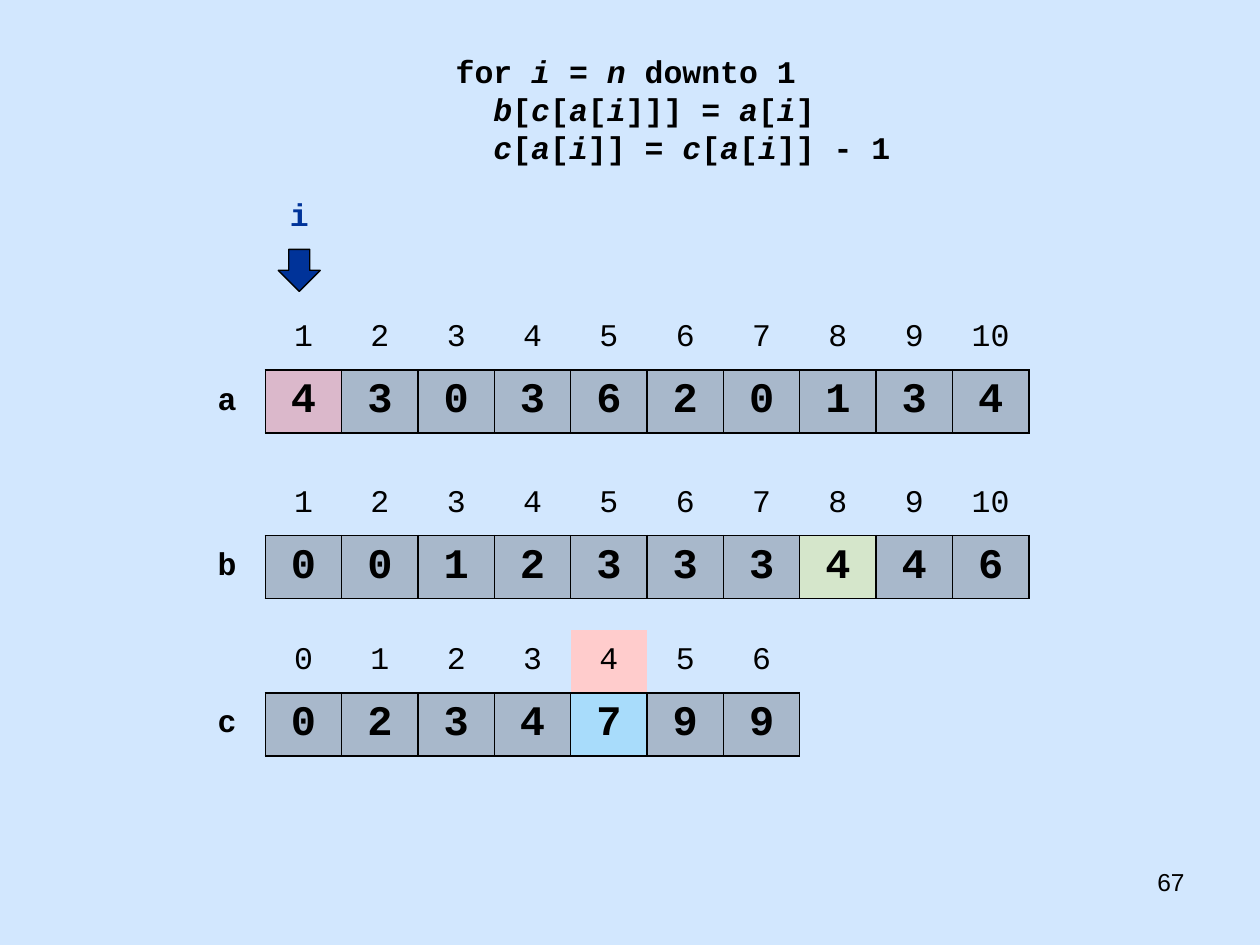
"""Build the counting sort slide: pseudocode, index arrow and arrays a, b and c."""
from dataclasses import dataclass

from lxml.etree import SubElement
from pptx import Presentation
from pptx.dml.color import RGBColor
from pptx.enum.shapes import MSO_SHAPE
from pptx.enum.text import MSO_ANCHOR, PP_ALIGN
from pptx.oxml import parse_xml
from pptx.oxml.ns import nsdecls, qn
from pptx.util import Pt


@dataclass(frozen=True)
class Theme:
    """Colours, type sizes and fonts of the slide."""
    background: str = "D2E7FE"
    ink: str = "000000"
    accent: str = "003399"
    index_mark: str = "FFCCCC"
    read_mark: str = "FF0000"
    write_mark: str = "E5E500"
    count_mark: str = "00B0F0"
    page_size: int = 14
    code_size: int = 18
    value_size: int = 24
    code_font: str = "Courier New"
    page_font: str = "Arial"


theme = Theme()
NO_STYLE = "{2D5ABB26-0587-4C30-8999-92F81FD0307C}"


def write(para, text, color=theme.ink, align=PP_ALIGN.CENTER, **changes):
    """Write text into a paragraph, with the parts between asterisks in italics."""
    para.alignment = align
    formats = {"name": theme.code_font, "size": Pt(theme.code_size), "bold": True} | changes
    for number, part in enumerate(text.split("*")):
        if part:
            span = para.add_run()
            span.text = part
            span.font.italic = number % 2 == 1
            span.font.color.rgb = RGBColor.from_string(color)
            for name, value in formats.items():
                setattr(span.font, name, value)


def add_text(page, place, lines, **formats):
    """Add a wrapping text box with one paragraph for each line."""
    frame = page.shapes.add_textbox(*map(Pt, place)).text_frame
    frame.word_wrap = True
    for number, line in enumerate(lines):
        para = frame.add_paragraph() if number else frame.paragraphs[0]
        write(para, line, **formats)


deck = Presentation()
deck.slide_width, deck.slide_height = Pt(720), Pt(540)
page = deck.slides.add_slide(deck.slide_layouts[6])
page.background.fill.solid()
page.background.fill.fore_color.rgb = RGBColor.from_string(theme.background)

add_text(page, (516, 492, 168, 37.5), ["67"], align=PP_ALIGN.RIGHT,
         name=theme.page_font, size=Pt(theme.page_size), bold=False)
add_text(page, (242.5, 26.2, 288, 73), [
    " for *i* = *n* downto 1",
    "   *b*[*c*[*a*[*i*]]] = *a*[*i*]",
    "   *c*[*a*[*i*]] = *c*[*a*[*i*]] - 1",
], align=PP_ALIGN.LEFT)
add_text(page, (96, 108, 150, 29), ["i"], color=theme.accent)

arrow = page.shapes.add_shape(MSO_SHAPE.DOWN_ARROW, Pt(159), Pt(142.5), Pt(24), Pt(24))
arrow.shadow.inherit = False
arrow.fill.solid()
arrow.fill.fore_color.rgb = RGBColor.from_string(theme.accent)
arrow.line.color.rgb = RGBColor.from_string(theme.ink)
arrow.line.width = Pt(0.75)

column_width, row_height = 43.63, 36
arrays = [
    ("a", 175.5, 1, [4, 3, 0, 3, 6, 2, 0, 1, 3, 4], {(1, 1): theme.read_mark}),
    ("b", 270, 1, [0, 0, 1, 2, 3, 3, 3, 4, 4, 6], {(1, 8): theme.write_mark}),
    ("c", 360, 0, [0, 2, 3, 4, 7, 9, 9], {(0, 5): theme.index_mark, (1, 5): theme.count_mark}),
]
for label, top, first_index, values, marks in arrays:
    columns = len(values) + 1
    table = page.shapes.add_table(2, columns, Pt(108), Pt(top),
                                  Pt(columns * column_width), Pt(2 * row_height)).table
    table.first_row = table.horz_banding = False
    table._tbl.tblPr.find(qn("a:tableStyleId")).text = NO_STYLE
    for column in table.columns:
        column.width = Pt(column_width)
    for row in table.rows:
        row.height = Pt(row_height)

    indices = range(first_index, first_index + len(values))
    for r, texts in enumerate([["", *indices], [label, *values]]):
        for c, text in enumerate(texts):
            cell = table.cell(r, c)
            is_value = r == 1 and c > 0
            cell.vertical_anchor = MSO_ANCHOR.MIDDLE
            write(cell.text_frame.paragraphs[0], str(text), bold=r == 1,
                  size=Pt(theme.value_size if is_value else theme.code_size))
            if is_value or (r, c) in marks:
                cell.fill.solid()
                cell.fill.fore_color.rgb = RGBColor.from_string(marks.get((r, c), theme.ink))
            else:
                cell.fill.background()
            if is_value:
                properties = cell._tc.get_or_add_tcPr()
                tint = properties.find(".//" + qn("a:srgbClr"))
                SubElement(tint, qn("a:alpha"), val="20000")
                for position, side in enumerate("LRTB"):
                    properties.insert(position, parse_xml(
                        f'<a:ln{side} {nsdecls("a")} w="{Pt(1)}"><a:solidFill>'
                        f'<a:srgbClr val="{theme.ink}"/></a:solidFill></a:ln{side}>'))

deck.save("out.pptx")
